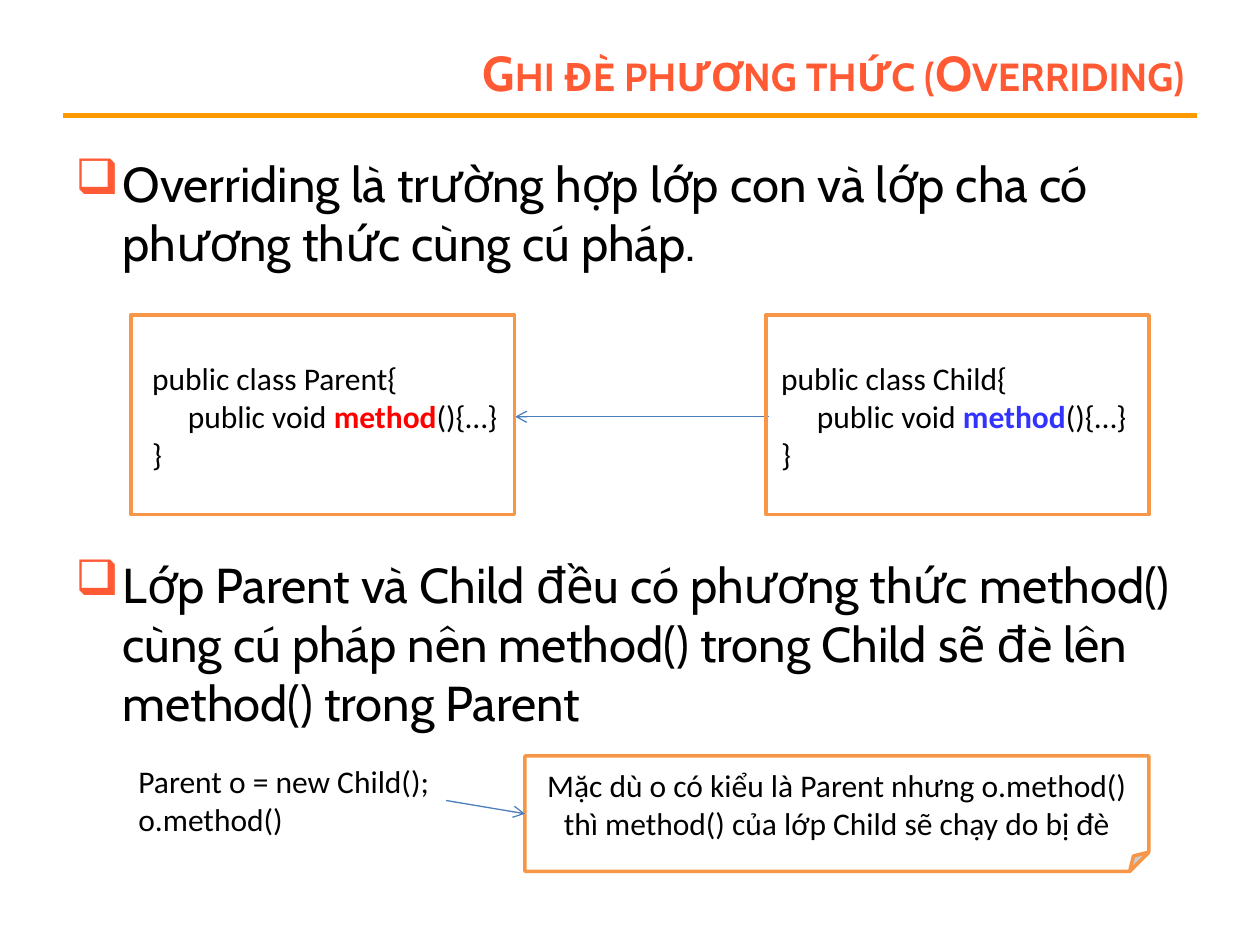
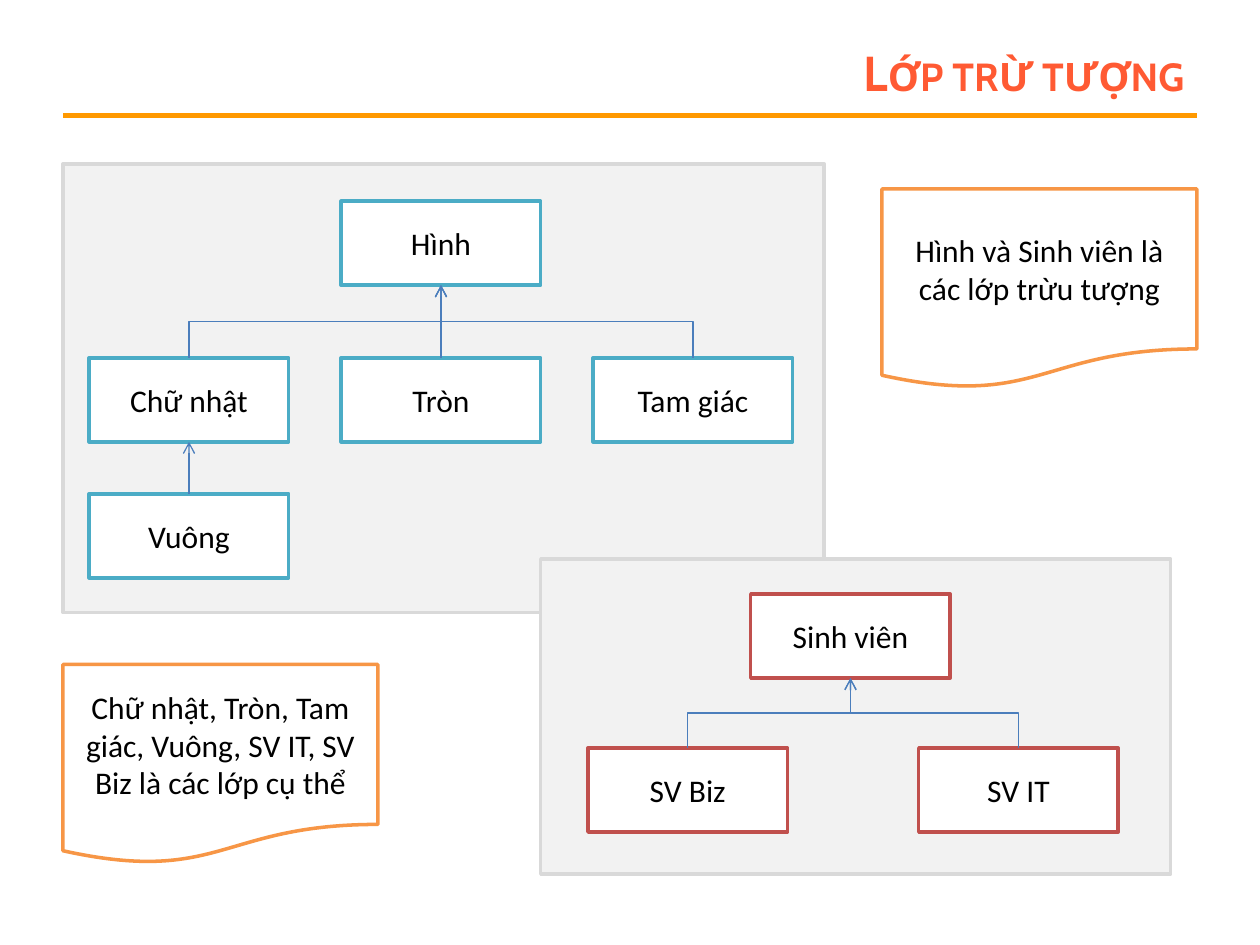
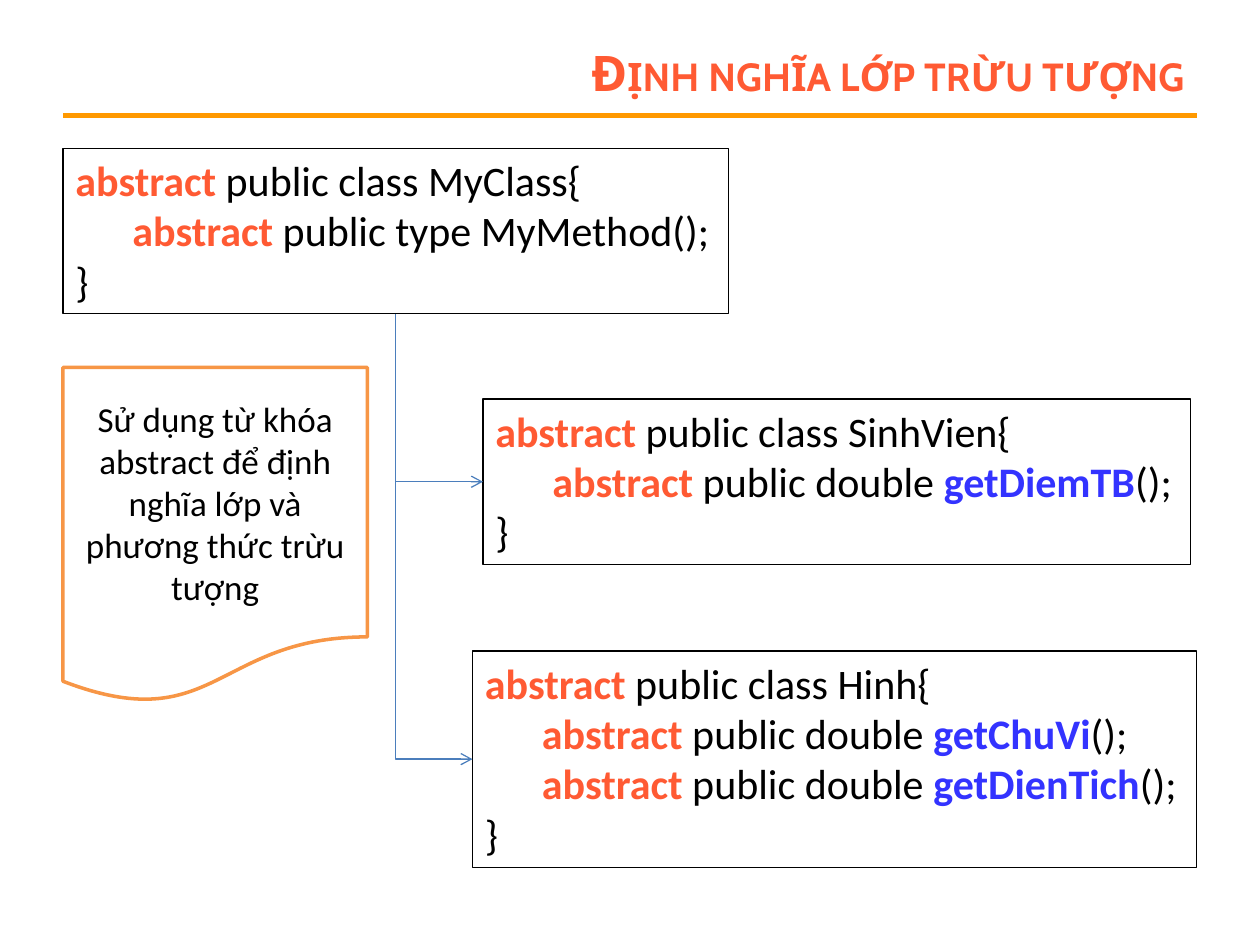
from typing import NamedTuple

from lxml import etree
from pptx import Presentation
from pptx.dml.color import RGBColor
from pptx.enum.shapes import MSO_CONNECTOR, MSO_SHAPE
from pptx.enum.text import MSO_ANCHOR, PP_ALIGN
from pptx.oxml.ns import qn
from pptx.shapes.autoshape import Shape
from pptx.shapes.connector import Connector
from pptx.slide import Slide
from pptx.text.text import _Paragraph
from pptx.util import Pt

ORANGE_RED = RGBColor(0xFF, 0x5A, 0x33)
AMBER = RGBColor(0xFF, 0x99, 0x00)
ORANGE = RGBColor(0xF7, 0x96, 0x46)
TEAL = RGBColor(0x4B, 0xAC, 0xC6)
BRICK = RGBColor(0xC0, 0x50, 0x4D)
ARROW_BLUE = RGBColor(0x4B, 0x7E, 0xBC)
CODE_BLUE = RGBColor(0x33, 0x33, 0xFF)
RED = RGBColor(0xFF, 0x00, 0x00)
BLACK = RGBColor(0x00, 0x00, 0x00)
WHITE = RGBColor(0xFF, 0xFF, 0xFF)
PANEL_GRAY = RGBColor(0xF2, 0xF2, 0xF2)
BORDER_GRAY = RGBColor(0xD9, 0xD9, 0xD9)

RECTANGLE = MSO_SHAPE.RECTANGLE
DOCUMENT = MSO_SHAPE.FLOWCHART_DOCUMENT
FOLDED_CORNER = MSO_SHAPE.FOLDED_CORNER
STRAIGHT = MSO_CONNECTOR.STRAIGHT
ELBOW = MSO_CONNECTOR.ELBOW
LEFT = PP_ALIGN.LEFT
CENTER = PP_ALIGN.CENTER
RIGHT = PP_ALIGN.RIGHT
TOP_ANCHOR = MSO_ANCHOR.TOP
MIDDLE_ANCHOR = MSO_ANCHOR.MIDDLE

TOP_SITE, LEFT_SITE, BOTTOM_SITE, RIGHT_SITE = range(4)
TITLE_FONT = "Cabin"
CODE_FONT = "Calibri"
BULLET_INDENT = 27
NODE_WIDTH, NODE_HEIGHT = 114, 48


class Box(NamedTuple):
    left: float
    top: float
    width: float
    height: float


class Style(NamedTuple):
    line: RGBColor
    fill: RGBColor | None = WHITE
    line_width: float = 2


class Span(NamedTuple):
    text: str
    color: RGBColor = BLACK
    bold: bool = False


class Line(NamedTuple):
    spans: list[Span]
    indent: float = 0


class Node(NamedTuple):
    text: str
    left: float
    top: float


class Note(NamedTuple):
    text: str
    box: Box


NOTE_STYLE = Style(ORANGE)
FRAME_STYLE = Style(ORANGE, None)
PANEL_STYLE = Style(BORDER_GRAY, PANEL_GRAY)
CODE_STYLE = Style(BLACK, None, 0.75)
ABSTRACT = Span("abstract", ORANGE_RED, True)
CLOSING_BRACE = Line([Span("}")])


def lengths(box: Box) -> list[Pt]:
    return [Pt(value) for value in box]


def set_font(paragraph: _Paragraph, name: str, size: float) -> None:
    paragraph.font.name = name
    paragraph.font.size = Pt(size)


def add_text_box(slide: Slide, box: Box) -> Shape:
    shape = slide.shapes.add_textbox(*lengths(box))
    shape.text_frame.word_wrap = True
    return shape


def add_box(slide: Slide, kind: MSO_SHAPE, box: Box, style: Style) -> Shape:
    shape = slide.shapes.add_shape(kind, *lengths(box))
    shape.shadow.inherit = False
    if style.fill is None:
        shape.fill.background()
    else:
        shape.fill.solid()
        shape.fill.fore_color.rgb = style.fill
    shape.line.color.rgb = style.line
    shape.line.width = Pt(style.line_width)
    return shape


def write_centered(shape: Shape, text: str, size: float = 18) -> None:
    frame = shape.text_frame
    frame.word_wrap = True
    frame.vertical_anchor = MIDDLE_ANCHOR
    paragraph = frame.paragraphs[0]
    paragraph.text = text
    paragraph.alignment = CENTER
    set_font(paragraph, CODE_FONT, size)
    paragraph.font.color.rgb = BLACK


def write_code(shape: Shape, lines: list[Line], size: float) -> None:
    frame = shape.text_frame
    frame.word_wrap = True
    frame.vertical_anchor = TOP_ANCHOR
    for index, line in enumerate(lines):
        paragraph = frame.add_paragraph() if index else frame.paragraphs[0]
        paragraph.alignment = LEFT
        set_font(paragraph, CODE_FONT, size)
        if line.indent:
            paragraph._p.get_or_add_pPr().set("marL", str(Pt(line.indent)))
        for span in line.spans:
            run = paragraph.add_run()
            run.text = span.text
            run.font.color.rgb = span.color
            run.font.bold = span.bold


def style_connector(connector: Connector, color: RGBColor, width: float) -> None:
    connector.line.color.rgb = color
    connector.line.width = Pt(width)
    etree.SubElement(connector._element.spPr, qn("a:effectLst"))


def turn_vertical(connector: Connector, preset: str) -> None:
    run = connector.end_x - connector.begin_x
    rise = connector.end_y - connector.begin_y
    center_x = (connector.begin_x + connector.end_x) // 2
    center_y = (connector.begin_y + connector.end_y) // 2
    connector.width, connector.height = abs(rise), abs(run)
    connector.left = center_x - abs(rise) // 2
    connector.top = center_y - abs(run) // 2
    properties = connector._element.spPr
    transform = properties.find(qn("a:xfrm"))
    transform.attrib.pop("flipH", None)
    transform.set("rot", str((90 if rise > 0 else 270) * 60000))
    transform.set("flipV", "1" if (run > 0) == (rise > 0) else "0")
    properties.find(qn("a:prstGeom")).set("prst", preset)


def add_arrow(slide: Slide, start: Shape, start_site: int, end: Shape, end_site: int,
              elbow_preset: str | None = None) -> None:
    kind = ELBOW if elbow_preset else STRAIGHT
    connector = slide.shapes.add_connector(kind, 0, 0, 0, 0)
    connector.begin_connect(start, start_site)
    connector.end_connect(end, end_site)
    if elbow_preset:
        turn_vertical(connector, elbow_preset)
    style_connector(connector, ARROW_BLUE, 0.75)
    line = connector.line._get_or_add_ln()
    etree.SubElement(line, qn("a:tailEnd"), type="arrow")


def add_titled_slide(presentation: Presentation, title: str) -> Slide:
    slide = presentation.slides.add_slide(presentation.slide_layouts[6])
    rule = slide.shapes.add_connector(STRAIGHT, Pt(36), Pt(66), Pt(684), Pt(66))
    style_connector(rule, AMBER, 3)
    frame = add_text_box(slide, Box(162, 21.6, 522, 38.4)).text_frame
    frame.vertical_anchor = MIDDLE_ANCHOR
    paragraph = frame.paragraphs[0]
    paragraph.alignment = RIGHT
    set_font(paragraph, TITLE_FONT, 28)
    paragraph.font.bold = True
    paragraph.font.color.rgb = ORANGE_RED
    run = paragraph.add_run()
    run.text = title
    run._r.get_or_add_rPr().set("cap", "small")
    return slide


def add_bullets(slide: Slide, box: Box, texts: list[str], gap: float) -> None:
    frame = add_text_box(slide, box).text_frame
    for index, text in enumerate(texts):
        paragraph = frame.add_paragraph() if index else frame.paragraphs[0]
        paragraph.text = text
        paragraph.space_before = Pt(gap if index else 0)
        properties = paragraph._p.get_or_add_pPr()
        properties.set("marL", str(Pt(BULLET_INDENT)))
        properties.set("indent", str(Pt(-BULLET_INDENT)))
        color = etree.SubElement(properties, qn("a:buClr"))
        etree.SubElement(color, qn("a:srgbClr"), val=str(ORANGE_RED))
        etree.SubElement(properties, qn("a:buChar"), char="❑")
        set_font(paragraph, TITLE_FONT, 28)
        paragraph.font.color.rgb = BLACK


def add_note(slide: Slide, note: Note, kind: MSO_SHAPE = DOCUMENT, size: float = 18) -> Shape:
    shape = add_box(slide, kind, note.box, NOTE_STYLE)
    write_centered(shape, note.text, size)
    return shape


def add_node(slide: Slide, node: Node, color: RGBColor) -> Shape:
    box = Box(node.left, node.top, NODE_WIDTH, NODE_HEIGHT)
    shape = add_box(slide, RECTANGLE, box, Style(color))
    write_centered(shape, node.text)
    return shape


def add_family(slide: Slide, parent: Node, children: list[Node], color: RGBColor) -> list[Shape]:
    parent_shape = add_node(slide, parent, color)
    child_shapes = [add_node(slide, child, color) for child in children]
    for child, shape in zip(children, child_shapes):
        preset = None if child.left == parent.left else "bentConnector3"
        add_arrow(slide, shape, TOP_SITE, parent_shape, BOTTOM_SITE, preset)
    return child_shapes


def class_lines(class_name: str, method_color: RGBColor) -> list[Line]:
    method = [Span("public void "), Span("method", method_color, True), Span("(){…}")]
    return [Line([Span(f"public class {class_name}{{")]), Line(method, 20.4), CLOSING_BRACE]


def abstract_lines(class_name: str, methods: list[list[Span]]) -> list[Line]:
    header = Line([ABSTRACT, Span(f" public class {class_name}{{")])
    body = [Line([ABSTRACT, *method], 32.6) for method in methods]
    return [header, *body, CLOSING_BRACE]


def double_method(name: str) -> list[Span]:
    return [Span(" public double "), Span(name, CODE_BLUE, True), Span("();")]


def build_overriding(presentation: Presentation) -> None:
    slide = add_titled_slide(presentation, "Ghi đè phương thức (Overriding)")
    add_bullets(slide, Box(36, 84, 648, 414), [
        "Overriding là trường hợp lớp con và lớp cha có phương thức cùng cú pháp.",
        "Lớp Parent và Child đều có phương thức method() cùng cú pháp nên method() "
        "trong Child sẽ đè lên method() trong Parent",
    ], 162)
    parent = add_text_box(slide, Box(79.8, 201.8, 214.6, 72.7))
    write_code(parent, class_lines("Parent", RED), 18)
    child = add_text_box(slide, Box(439.3, 201.8, 218, 72.7))
    write_code(child, class_lines("Child", CODE_BLUE), 18)
    add_arrow(slide, child, LEFT_SITE, parent, RIGHT_SITE)
    for left in (75, 437.6):
        add_box(slide, RECTANGLE, Box(left, 180, 219, 114), FRAME_STYLE)
    usage = add_text_box(slide, Box(72, 432, 183, 50.9))
    write_code(usage, [Line([Span("Parent o = new Child();")]), Line([Span("o.method()")])], 18)
    note = add_note(slide, Note(
        "Mặc dù o có kiểu là Parent nhưng o.method() thì method() của lớp Child sẽ chạy do bị đè",
        Box(300, 432, 356.5, 66)), FOLDED_CORNER)
    add_arrow(slide, usage, RIGHT_SITE, note, LEFT_SITE)


def build_abstract_classes(presentation: Presentation) -> None:
    slide = add_titled_slide(presentation, "Lớp trừ tượng")
    for panel in (Box(36, 93.6, 435, 256.4), Box(309, 319.5, 360, 180)):
        add_box(slide, RECTANGLE, panel, PANEL_STYLE)
    shape_names = ["Chữ nhật", "Tròn", "Tam giác"]
    figures = [Node(name, 51 + 144 * column, 204.5) for column, name in enumerate(shape_names)]
    rectangle, *_ = add_family(slide, Node("Hình", 195, 115), figures, TEAL)
    square = add_node(slide, Node("Vuông", 51, 282.2), TEAL)
    add_arrow(slide, square, TOP_SITE, rectangle, BOTTOM_SITE)
    students = [Node("SV Biz", 336, 427.5), Node("SV IT", 525, 427.5)]
    add_family(slide, Node("Sinh viên", 429, 339.5), students, BRICK)
    for note in (
        Note("Hình và Sinh viên là các lớp trừu tượng", Box(504, 108, 180, 114)),
        Note("Chữ nhật, Tròn, Tam giác, Vuông, SV IT, SV Biz là các lớp cụ thể",
             Box(36, 379.7, 180, 114)),
    ):
        add_note(slide, note)


def build_abstract_definition(presentation: Presentation) -> None:
    slide = add_titled_slide(presentation, "Định nghĩa lớp trừu tượng")
    blocks = [
        (Box(36, 84.8, 380.2, 94.5),
         abstract_lines("MyClass", [[Span(" public type MyMethod();")]])),
        (Box(276, 228, 404.5, 94.5),
         abstract_lines("SinhVien", [double_method("getDiemTB")])),
        (Box(270, 372, 413.6, 123.6),
         abstract_lines("Hinh", [double_method("getChuVi"), double_method("getDienTich")])),
    ]
    shapes = []
    for box, lines in blocks:
        shape = add_box(slide, RECTANGLE, box, CODE_STYLE)
        write_code(shape, lines, 24)
        shapes.append(shape)
    template, *examples = shapes
    for example in examples:
        add_arrow(slide, template, BOTTOM_SITE, example, LEFT_SITE, "bentConnector2")
    add_note(slide, Note(
        "Sử dụng từ khóa abstract để định nghĩa lớp và phương thức trừu tượng",
        Box(36, 210, 174, 192)), size=20)


def main() -> None:
    presentation = Presentation()
    presentation.slide_width = Pt(720)
    presentation.slide_height = Pt(540)
    build_overriding(presentation)
    build_abstract_classes(presentation)
    build_abstract_definition(presentation)
    presentation.save("out.pptx")


if __name__ == "__main__":
    main()
